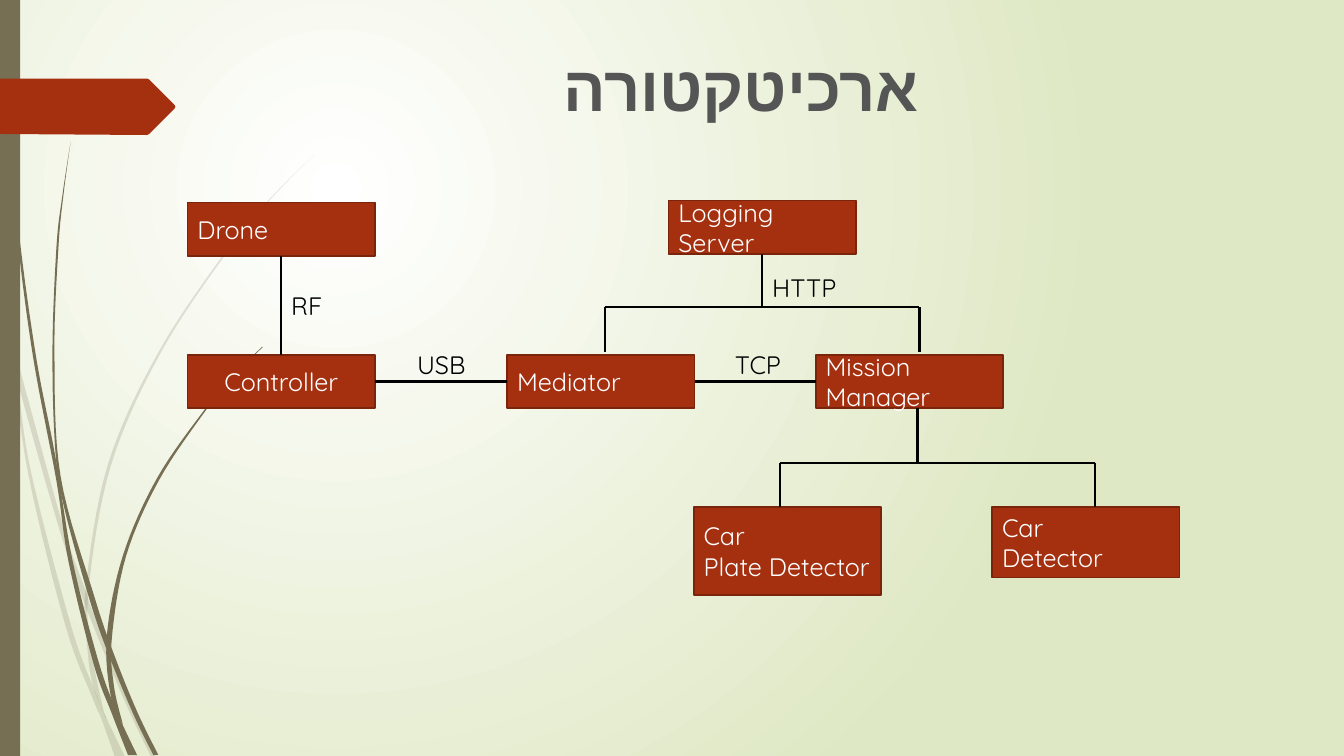
"""Build the system architecture slide: boxes, links and a wispy side decoration."""
from dataclasses import dataclass

import lxml.etree
import pptx
import pptx.dml.color
import pptx.enum.dml
import pptx.enum.shapes
import pptx.enum.text
import pptx.oxml.ns
import pptx.util

PX = 9144
qn = pptx.oxml.ns.qn


@dataclass(frozen=True)
class Theme:
    """Colours, fonts and type sizes."""
    center: str = "FFFFFF"
    edge: str = "DFE8C4"
    stem: str = "766F54"
    box: str = "A53010"
    box_line: str = "7A240C"
    box_text: str = "FFFFFF"
    link: str = "000000"
    title: str = "555555"
    title_font: str = "Arial"
    body_font: str = "Quicksand"
    title_size: int = 45
    body_size: int = 18


THEME = Theme()

PALE_STEMS = [
    ([(0, 299), (10, 344), (28, 470), (65, 621), (92, 693), (101, 714), (114, 751)],
     [(0, 282), (9, 322), (17, 376), (31, 469), (70, 619), (93, 683), (105, 711), (124, 751)]),
    ([(14, 345), (17, 376), (58, 522), (84, 599), (123, 694), (150, 751)],
     [(14, 345), (62, 520), (85, 586), (92, 607), (127, 692), (155, 751)]),
    ([(312, 153), (268, 197), (228, 244), (158, 348), (107, 461), (85, 584), (87, 646), (93, 683), (105, 711)],
     [(312, 153), (268, 198), (229, 245), (160, 349), (110, 462), (88, 584), (91, 646), (103, 706), (105, 711)]),
]
DARK_STEMS = [
    ([(3, 0), (4, 48), (7, 110), (17, 233), (33, 355), (56, 477), (68, 557), (93, 659), (111, 708), (127, 749)],
     [(4, 0), (5, 48), (8, 109), (19, 232), (36, 355), (55, 453), (72, 556), (98, 657), (116, 706), (136, 749)]),
    ([(70, 141), (62, 193), (56, 245), (52, 349), (55, 449), (64, 505), (88, 592), (106, 645), (132, 708), (152, 749)],
     [(70, 141), (63, 193), (58, 245), (54, 349), (60, 472), (93, 590), (113, 649), (136, 706), (157, 749)]),
    ([(260, 344), (231, 373), (204, 405), (156, 474), (122, 551), (106, 631), (110, 691), (122, 719)],
     [(261, 344), (231, 374), (205, 406), (158, 476), (125, 552), (111, 633), (113, 680), (122, 719)]),
]
TAG = [(0, 78), (146, 78), (148, 79), (173, 104), (174, 106), (173, 108), (148, 133), (146, 134), (0, 133)]


def px(*values):
    """Turn px lengths into EMU."""
    return [pptx.util.Emu(round(v * PX)) for v in values]


def rgb(code):
    """Return a colour from its hex code."""
    return pptx.dml.color.RGBColor.from_string(code)


def smooth(points, steps=8):
    """Sample a Catmull-Rom curve through the points."""
    padded = [points[0], *points, points[-1]]
    curve = []
    for a, b, c, d in zip(padded, padded[1:], padded[2:], padded[3:]):
        for t in (i / steps for i in range(steps)):
            curve.append(tuple(
                (2 * q + (r - p) * t + (2 * p - 5 * q + 4 * r - u) * t ** 2
                 + (3 * q - p - 3 * r + u) * t ** 3) / 2
                for p, q, r, u in zip(a, b, c, d)))
    return curve + [points[-1]]


def paint(sp, fill, line=None):
    """Give a shape a flat fill and an optional outline."""
    sp.shadow.inherit = False
    sp.fill.solid()
    sp.fill.fore_color.rgb = rgb(fill)
    if line:
        sp.line.color.rgb = rgb(line)
        sp.line.width = pptx.util.Pt(1.25)
    else:
        sp.line.fill.background()


def add_outline(s, points, fill, alpha=None):
    """Draw a closed outline, optionally see-through."""
    start, *rest = [px(*point) for point in points]
    builder = s.shapes.build_freeform(*start)
    builder.add_line_segments(rest, close=True)
    sp = builder.convert_to_shape()
    paint(sp, fill)
    if alpha:
        color = sp._element.spPr.find(".//" + qn("a:srgbClr"))
        lxml.etree.SubElement(color, qn("a:alpha")).set("val", str(alpha * 1000))


def add_stems(s, stems, alpha=None):
    """Draw tapering stems from their two edges."""
    for left, right in stems:
        add_outline(s, smooth(left) + smooth(right)[::-1], THEME.stem, alpha)


def write(tf, lines, size, font, color, bold=False, align=pptx.enum.text.PP_ALIGN.LEFT):
    """Write one paragraph per line."""
    tf.word_wrap = True
    for i, line in enumerate(lines):
        p = tf.add_paragraph() if i else tf.paragraphs[0]
        p.alignment = align
        r = p.add_run()
        r.text = line
        r.font.size = pptx.util.Pt(size)
        r.font.name = font
        r.font.bold = bold
        r.font.color.rgb = rgb(color)
        lxml.etree.SubElement(r._r.rPr, qn("a:cs")).set("typeface", font)


def add_label(s, x, y, w, h, text, **style):
    """Add a free text label."""
    tf = s.shapes.add_textbox(*px(x, y, w, h)).text_frame
    tf.auto_size = pptx.enum.text.MSO_AUTO_SIZE.SHAPE_TO_FIT_TEXT
    write(tf, [text], **style)


def add_box(s, x, y, *lines, h=53, align=pptx.enum.text.PP_ALIGN.LEFT):
    """Add one component box."""
    sp = s.shapes.add_shape(pptx.enum.shapes.MSO_SHAPE.RECTANGLE, *px(x, y, 186, h))
    paint(sp, THEME.box, THEME.box_line)
    sp.text_frame.vertical_anchor = pptx.enum.text.MSO_ANCHOR.MIDDLE
    write(sp.text_frame, lines, THEME.body_size, THEME.body_font, THEME.box_text, align=align)
    return sp


def add_link(s, x1, y1, x2, y2, begin=None, end=None):
    """Add a straight link, joined to (box, side) where given."""
    cx = s.shapes.add_connector(pptx.enum.shapes.MSO_CONNECTOR.STRAIGHT, *px(x1, y1, x2, y2))
    cx.line.color.rgb = rgb(THEME.link)
    cx.line.width = pptx.util.Pt(1.5)
    lxml.etree.SubElement(cx._element.spPr, qn("a:effectLst"))
    if begin:
        cx.begin_connect(*begin)
    if end:
        cx.end_connect(*end)


def add_fork(s, trunk, top, bus, left, begin=None):
    """Add a trunk that splits into two drops."""
    right = left + 312
    add_link(s, right, bus, left, bus)
    add_link(s, trunk, top, trunk, bus, begin)
    for x in (left, right):
        add_link(s, x, bus, x, bus + 44)


def add_background(s):
    """Fill the background with a radial gradient."""
    fill = s.background.fill
    fill.gradient()
    for stop, color in zip(fill.gradient_stops, (THEME.center, THEME.edge)):
        stop.color.rgb = rgb(color)
    grad = s._element.find(".//" + qn("a:gradFill"))
    grad.remove(grad.find(qn("a:lin")))
    radial = lxml.etree.SubElement(grad, qn("a:path"))
    radial.set("path", "circle")
    focus = lxml.etree.SubElement(radial, qn("a:fillToRect"))
    for side, percent in zip("ltrb", (50, 50, 100, 100)):
        focus.set(side, str(percent * 1000))


def main():
    """Build and save the slide."""
    prs = pptx.Presentation()
    prs.slide_width, prs.slide_height = px(1333, 750)
    s = prs.slides.add_slide(prs.slide_layouts[6])
    add_background(s)
    add_stems(s, PALE_STEMS, alpha=20)
    add_stems(s, DARK_STEMS)
    bar = s.shapes.add_shape(pptx.enum.shapes.MSO_SHAPE.RECTANGLE, *px(0, 0, 20, 750))
    paint(bar, THEME.stem)
    add_outline(s, TAG, THEME.box)
    add_label(s, 549, 43, 394, 86, "ארכיטקטורה", size=THEME.title_size,
              font=THEME.title_font, color=THEME.title, bold=True)

    add_box(s, 984, 503, "Car", "Detector", h=70)
    add_box(s, 688, 503, "Car", "Plate Detector", h=87)
    mission = add_box(s, 809, 352, "Mission Manager")
    logging = add_box(s, 663, 199, "Logging Server")
    mediator = add_box(s, 503, 352, "Mediator")
    drone = add_box(s, 186, 201, "Drone")
    controller = add_box(s, 186, 352, "Controller", align=pptx.enum.text.PP_ALIGN.CENTER)

    add_link(s, 279, 254, 279, 352, (drone, 2), (controller, 0))
    add_link(s, 503, 379, 372, 379, (mediator, 1), (controller, 3))
    add_link(s, 809, 379, 689, 379, (mission, 1), (mediator, 3))
    for x, y, w, text in ((279, 283, 53, "RF"), (404, 342, 104, "USB"),
                          (756, 265, 104, "HTTP"), (719, 342, 104, "TCP")):
        add_label(s, x, y, w, 40, text, size=THEME.body_size,
                  font=THEME.body_font, color=THEME.link)
    add_fork(s, 910, 405, 459, 774)
    add_fork(s, 756, 252, 305, 600, (logging, 2))
    prs.save("out.pptx")


if __name__ == "__main__":
    main()
